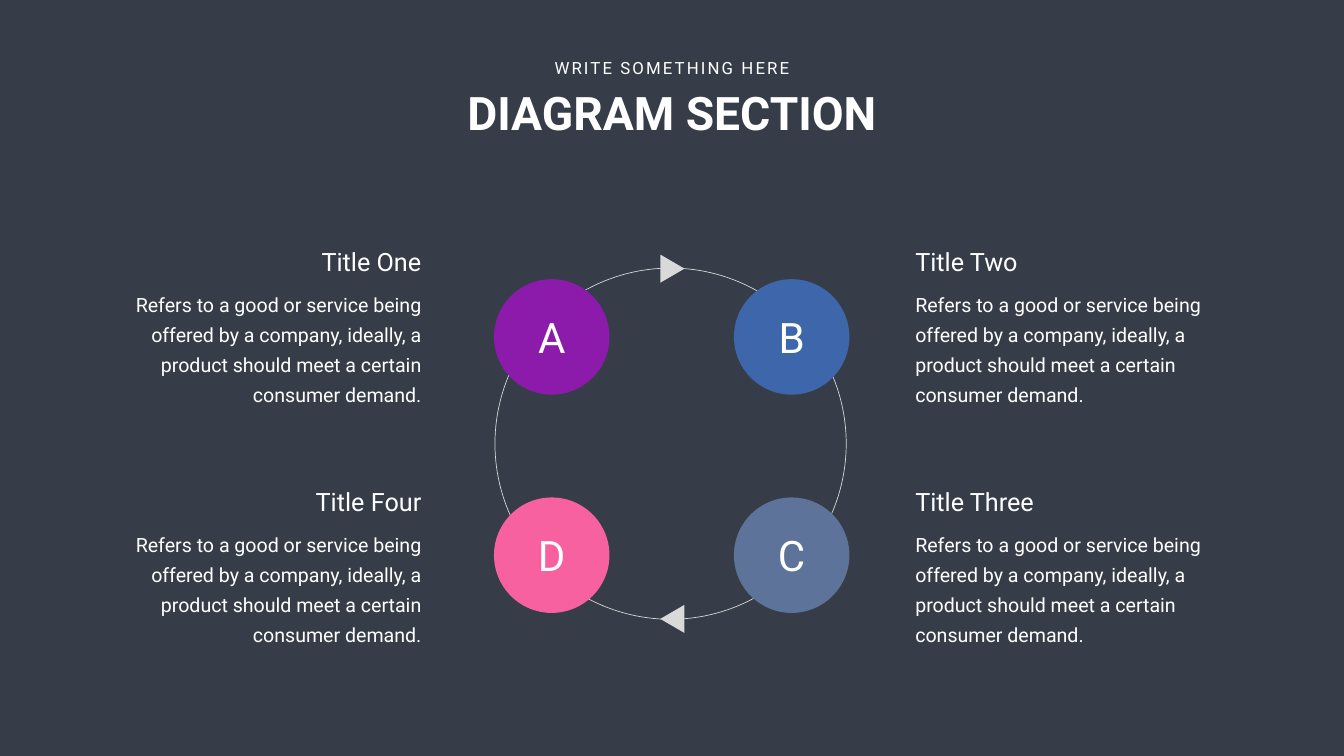
import pptx
import pptx.util
import pptx.dml.color
import pptx.enum.shapes
import pptx.enum.text

Cm = pptx.util.Cm
Pt = pptx.util.Pt
RGBColor = pptx.dml.color.RGBColor
Shape = pptx.enum.shapes.MSO_SHAPE
Align = pptx.enum.text.PP_ALIGN
Anchor = pptx.enum.text.MSO_ANCHOR

BACKGROUND = RGBColor(0x36, 0x3D, 0x48)
WHITE = RGBColor(0xFF, 0xFF, 0xFF)
LIGHT_GREY = RGBColor(0xD9, 0xD9, 0xD9)
PURPLE = RGBColor(0x8C, 0x1B, 0xAB)
BLUE = RGBColor(0x3D, 0x67, 0xAA)
SLATE = RGBColor(0x5D, 0x73, 0x9A)
PINK = RGBColor(0xF7, 0x61, 0xA0)

DESCRIPTION = ("Refers to a good or service being offered by a company, ideally, "
               "a product should meet a certain consumer demand.")

# Lengths in centimetres
CIRCLE_SIZE = 5.82
CIRCLE_LEFT = (24.89, 36.98)
CIRCLE_TOP = (14.07, 25.07)
LETTER_WIDTH, LETTER_HEIGHT, LETTER_OFFSET = 2.4, 2.57, 1.62
TEXT_TOP = (12.27, 24.38)
LEFT_TEXT_EDGE, RIGHT_TEXT_EDGE = 21.48, 45.87
HEADING_WIDTH, HEADING_HEIGHT = 10.64, 1.8
BODY_WIDTH, BODY_HEIGHT, BODY_OFFSET = 15.29, 6.25, 2.06

# Letter, colour, heading, column, row
ITEMS = (
    ("D", PINK, "Title Four", 0, 1),
    ("C", SLATE, "Title Three", 1, 1),
    ("A", PURPLE, "Title One", 0, 0),
    ("B", BLUE, "Title Two", 1, 0),
)


class SlideBuilder:
    """Holds the text style and the current slide."""

    font_format = {"name": "Roboto", "bold": False}

    def __init__(self, slide):
        self.slide = slide
        slide.background.fill.solid()
        slide.background.fill.fore_color.rgb = BACKGROUND

    def shape(self, kind, left, top, width, height, fill=None, line=None, rotation=0):
        shape = self.slide.shapes.add_shape(kind, Cm(left), Cm(top), Cm(width), Cm(height))
        shape.shadow.inherit = False
        shape.rotation = rotation
        if fill is None:
            shape.fill.background()
        else:
            shape.fill.solid()
            shape.fill.fore_color.rgb = fill
        if line is None:
            shape.line.fill.background()
        else:
            shape.line.color.rgb = line
            shape.line.width = Pt(1)
        return shape

    def text(self, text, left, top, width, height, size, align=Align.CENTER,
             line_spacing=None, letter_spacing=None, frame_format=None, **font_format):
        box = self.slide.shapes.add_textbox(Cm(left), Cm(top), Cm(width), Cm(height))
        frame_values = {
            "word_wrap": True,
            "auto_size": pptx.enum.text.MSO_AUTO_SIZE.SHAPE_TO_FIT_TEXT,
            "vertical_anchor": Anchor.MIDDLE,
            **(frame_format or {}),
        }
        for name, value in frame_values.items():
            setattr(box.text_frame, name, value)
        paragraph = box.text_frame.paragraphs[0]
        paragraph.alignment = align
        if line_spacing:
            paragraph.line_spacing = Pt(line_spacing)
        run = paragraph.add_run()
        run.text = text
        for name, value in {**self.font_format, "size": Pt(size), **font_format}.items():
            setattr(run.font, name, value)
        run.font.color.rgb = WHITE
        if letter_spacing:
            run.font._element.set("spc", str(letter_spacing * 100))
        return box

    def circle(self, letter, colour, column, row):
        left, top = CIRCLE_LEFT[column], CIRCLE_TOP[row]
        self.shape(Shape.OVAL, left, top, CIRCLE_SIZE, CIRCLE_SIZE, fill=colour)
        self.text(letter, left + (CIRCLE_SIZE - LETTER_WIDTH) / 2, top + LETTER_OFFSET,
                  LETTER_WIDTH, LETTER_HEIGHT, 60,
                  frame_format={"vertical_anchor": Anchor.TOP,
                                "margin_top": 0, "margin_bottom": 0})

    def caption(self, heading, column, row):
        top = TEXT_TOP[row]
        align = Align.LEFT if column else Align.RIGHT

        def left(width):
            return RIGHT_TEXT_EDGE if column else LEFT_TEXT_EDGE - width

        self.text(DESCRIPTION, left(BODY_WIDTH), top + BODY_OFFSET, BODY_WIDTH, BODY_HEIGHT,
                  28, align, line_spacing=43)
        self.text(heading, left(HEADING_WIDTH), top, HEADING_WIDTH, HEADING_HEIGHT, 36, align)


def main():
    presentation = pptx.Presentation()
    presentation.slide_width = Cm(67.72)
    presentation.slide_height = Cm(38.1)
    builder = SlideBuilder(presentation.slides.add_slide(presentation.slide_layouts[6]))

    # Ring behind the circles
    builder.shape(Shape.OVAL, 24.94, 13.51, 17.7, 17.7, line=LIGHT_GREY)

    # Slide title
    builder.text("DIAGRAM SECTION", 19.33, 4.09, 29.06, 3.07, 66, bold=True)
    builder.text("WRITE SOMETHING HERE", 27.51, 2.79, 12.7, 1.27, 24, letter_spacing=3,
                 frame_format={"word_wrap": False})

    # Lettered circles and their captions
    for letter, colour, heading, column, row in ITEMS:
        builder.circle(letter, colour, column, row)
        builder.caption(heading, column, row)

    # Direction markers on the ring
    for top, rotation in ((12.93, 90), (30.58, 270)):
        builder.shape(Shape.ISOSCELES_TRIANGLE, 33.17, top, 1.42, 1.22,
                      fill=LIGHT_GREY, rotation=rotation)

    presentation.save("out.pptx")


if __name__ == "__main__":
    main()
